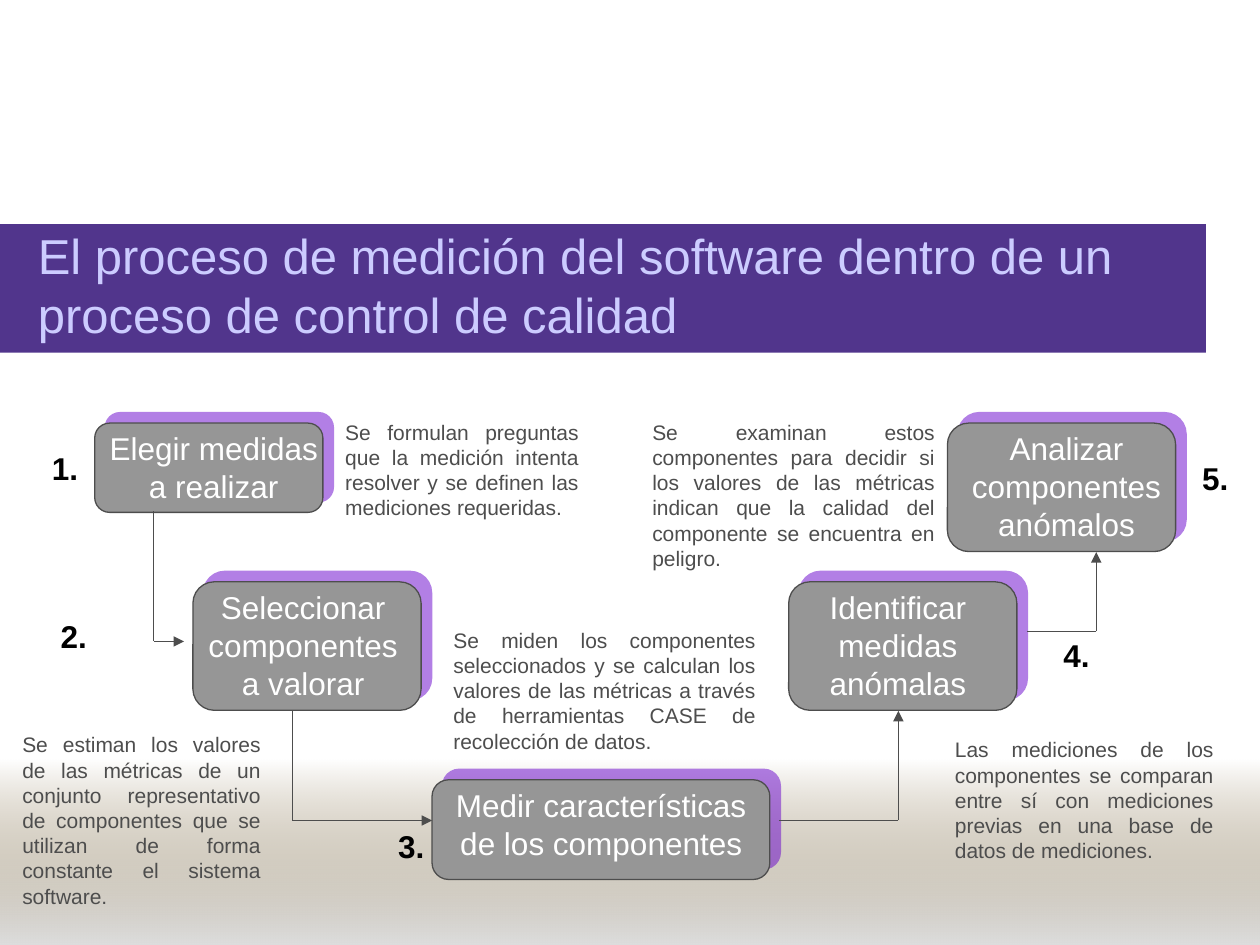
from lxml.etree import SubElement as Sub
from pptx import Presentation
from pptx.dml.color import RGBColor as RGB
from pptx.enum.shapes import MSO_CONNECTOR as LINK, MSO_SHAPE as SHAPE
from pptx.enum.text import MSO_ANCHOR as ANCHOR, MSO_AUTO_SIZE as FIT, PP_ALIGN as ALIGN
from pptx.oxml.ns import qn
from pptx.util import Cm, Pt

HEX = {"bar": "51358C", "title": "CCCCFF", "box": "969696", "edge": "4D4D4D",
       "shade": "6600CC", "sand": "765E2F", "mist": "DDDDDD",
       "white": "FFFFFF", "black": "000000"}
RGBS = {name: RGB.from_string(code) for name, code in HEX.items()}

deck = Presentation()
deck.slide_width, deck.slide_height = Cm(25.4), Cm(19.05)
slide = deck.slides.add_slide(deck.slide_layouts[5])
shapes = slide.shapes


def add_block(kind, spot):
    block = shapes.add_shape(kind, *map(Cm, spot))
    block.shadow.inherit = False
    block.line.fill.background()
    return block


def add_text(words, spot, size, tint, align, bold=False):
    box = shapes.add_textbox(*map(Cm, spot))
    frame = box.text_frame
    frame.word_wrap = True
    frame.auto_size = FIT.SHAPE_TO_FIT_TEXT
    frame.text = words
    para = frame.paragraphs[0]
    para.alignment = align
    font = para.runs[0].font
    font.name, font.size, font.bold = "Arial", Pt(size), bold
    font.color.rgb = RGBS[tint]


# Fading band at the foot
band = add_block(SHAPE.RECTANGLE, (0, 15.32, 25.4, 3.73))
band.fill.gradient()
band.fill.gradient_angle = 270
for stop, tint in zip(band.fill.gradient_stops, ("sand", "mist")):
    stop.color.rgb = RGBS[tint]
Sub(band._element.xpath(".//a:gs/a:srgbClr")[0], qn("a:alpha"), val="0")

# Title on its bar
bar = add_block(SHAPE.RECTANGLE, (0, 4.52, 24.31, 2.59))
bar.fill.solid()
bar.fill.fore_color.rgb = RGBS["bar"]

title = shapes.title
shapes._spTree.append(title._element)
title.left, title.top, title.width, title.height = map(Cm, (0.51, 4.14, 24.82, 3.18))
frame = title.text_frame
frame.text = "El proceso de medición del software dentro de un proceso de control de calidad"
frame.word_wrap = True
frame.auto_size = FIT.NONE
frame.vertical_anchor = ANCHOR.MIDDLE
para = frame.paragraphs[0]
para.alignment = ALIGN.LEFT
font = para.runs[0].font
font.name, font.size = "Arial", Pt(28)
font.color.rgb = RGBS["title"]

# Steps: label, box, left and width of the label
steps = [
    ("Elegir medidas a realizar", (1.91, 8.53, 4.6, 1.8), 1.91, 4.8),
    ("Seleccionar componentes a valorar", (3.89, 11.73, 4.6, 2.59), 3.71, 4.8),
    ("Medir características de los componentes", (8.71, 15.72, 6.81, 2.01), 8.92, 6.4),
    ("Identificar medidas anómalas", (15.9, 11.73, 4.6, 2.59), 15.7, 4.8),
    ("Analizar componentes anómalos", (19.1, 8.53, 4.6, 2.59), 19.1, 4.8),
]
for label, spot, left, width in steps:
    step = add_block(SHAPE.FLOWCHART_ALTERNATE_PROCESS, spot)
    step.fill.solid()
    step.fill.fore_color.rgb = RGBS["box"]
    step.line.color.rgb = RGBS["edge"]
    step.line.width = Pt(0.75)
    glow = step._element.spPr.find(qn("a:effectLst"))
    shade = Sub(glow, qn("a:outerShdw"), dist=str(Pt(8.5)), dir="18900000",
                algn="ctr", rotWithShape="0")
    tone = Sub(shade, qn("a:srgbClr"), val=HEX["shade"])
    Sub(tone, qn("a:alpha"), val="50000")
    tall = 2.54 if spot[3] > 2.5 else 1.78
    add_text(label, (left, spot[1], width, tall), 18, "white", ALIGN.CENTER)

# Elbow arrows: start, corner, end
routes = [
    ((3.1, 10.31), (3.1, 12.93), (3.71, 12.93)),
    ((5.89, 14.33), (5.89, 16.54), (8.71, 16.54)),
    ((15.7, 16.54), (18.11, 16.54), (18.11, 14.33)),
    ((20.7, 12.73), (22.1, 12.73), (22.1, 11.13)),
]
for start, turn, end in routes:
    for head, tail in ((start, turn), (turn, end)):
        line = shapes.add_connector(LINK.STRAIGHT, *map(Cm, head + tail))
        line.line.color.rgb = RGBS["edge"]
        line.line.width = Pt(0.75)
        props = line._element.spPr
        if tail == end:
            Sub(props.find(qn("a:ln")), qn("a:tailEnd"), type="triangle")
        Sub(props, qn("a:effectLst"))

# Step numbers
spots = [(0.51, 8.92), (0.69, 12.32), (7.49, 16.54), (20.9, 12.7), (23.7, 9.12)]
for num, spot in enumerate(spots, 1):
    add_text(f"{num}.", spot + (1.6, 1.02), 18, "black", ALIGN.CENTER, True)

# Notes beside the steps
notes = [
    ("Se formulan preguntas que la medición intenta resolver y se definen las "
     "mediciones requeridas.", (6.71, 8.33, 5.21, 2.29)),
    ("Se estiman los valores de las métricas de un conjunto representativo de "
     "componentes que se utilizan de forma constante el sistema software.",
     (0.2, 14.63, 5.31, 3.81)),
    ("Se miden los componentes seleccionados y se calculan los valores de las "
     "métricas a través de herramientas CASE de recolección de datos.",
     (8.89, 12.52, 6.6, 2.79)),
    ("Las mediciones de los componentes se comparan entre sí con mediciones "
     "previas en una base de datos de mediciones.", (19, 14.73, 5.72, 2.79)),
    ("Se examinan estos componentes para decidir si los valores de las métricas "
     "indican que la calidad del componente se encuentra en peligro.",
     (12.9, 8.33, 6.2, 3.3)),
]
for words, spot in notes:
    add_text(words, spot, 12, "edge", ALIGN.JUSTIFY)

deck.save("out.pptx")
